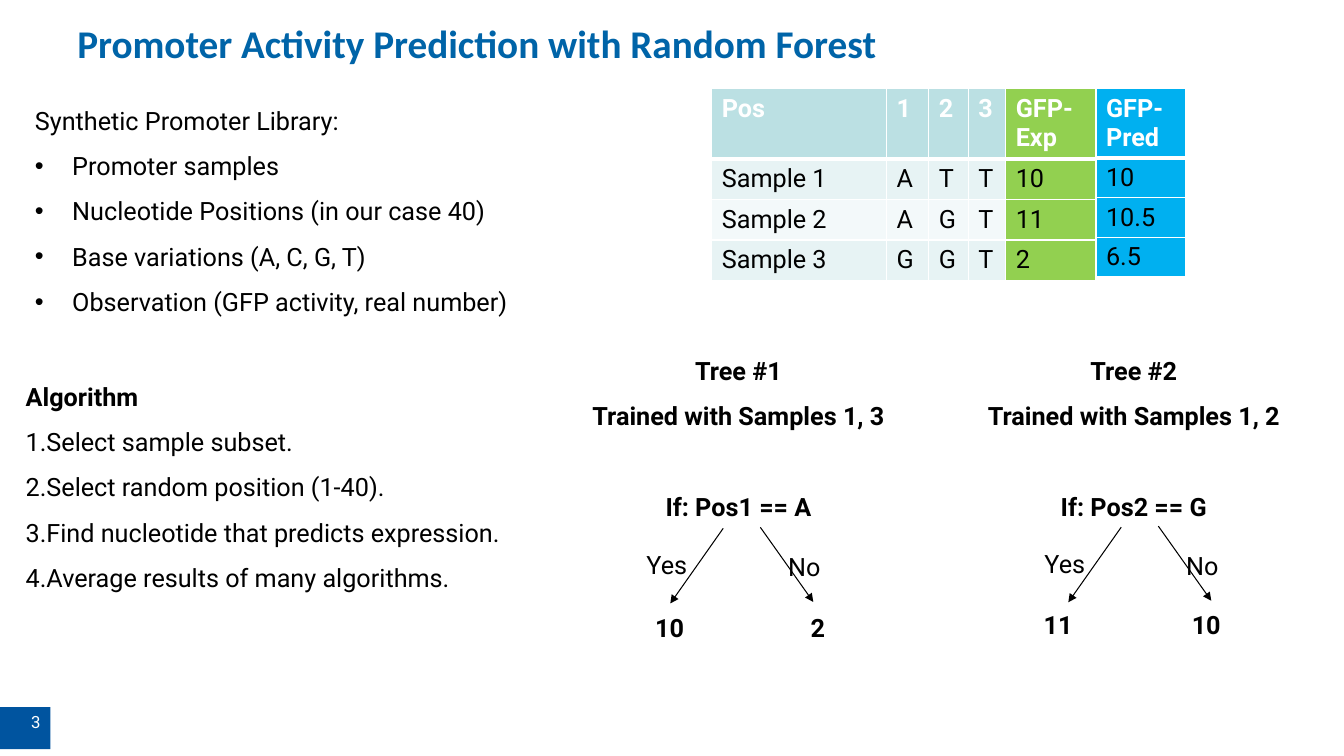
"""Builds the slide on promoter activity prediction with a random forest."""
from lxml.etree import SubElement as add_element
from pptx import Presentation
from pptx.dml.color import RGBColor
from pptx.enum.shapes import MSO_CONNECTOR as Connector, MSO_SHAPE as Shape
from pptx.enum.text import MSO_ANCHOR as Anchor, MSO_AUTO_SIZE as AutoSize, PP_ALIGN as Align
from pptx.oxml.ns import qn
from pptx.util import Inches, Pt

COLORS = {
    "title": "0064A8", "badge": "00549F", "text": "000000", "white": "FFFFFF",
    "header": "BBE0E3", "band": "E7F3F4", "pale": "F3F9FA",
    "measured": "92D050", "predicted": "00B0F0",
}
COLUMNS, ROWS = 80, 45
LINE_SPACING = 1.5
BLANK_LINE = 32.4
TABLE_TOP, TABLE_HEIGHT = 5.28, 11.4
TABLE_ROWS = [1.5] + [2.19] * 3


def color(name):
    return RGBColor.from_string(COLORS[name])


def write(para, text, size=18, font="Roboto", ink="text", bold=False,
          align=Align.LEFT, spacing=LINE_SPACING, before=0):
    span = para.add_run()
    span.text = text
    span.font.size, span.font.name, span.font.bold = Pt(size), font, bold
    span.font.color.rgb = color(ink)
    para.alignment, para.line_spacing = align, spacing
    para.space_before, para.space_after = Pt(before), Pt(0)


def set_bullet(para, kind=None, indent=0, **attributes):
    props = para._p.get_or_add_pPr()
    props.set("marL", str(Inches(indent)))
    props.set("indent", str(Inches(-indent)))
    add_element(props, qn(f"a:{kind or 'buNone'}"), attributes)


class Sketch:
    """Places styled elements on one slide, measured in grid columns and rows."""

    def __init__(self, deck, layout):
        self.page = deck.slides.add_slide(deck.slide_layouts[layout])
        self.column = deck.slide_width / COLUMNS
        self.row = deck.slide_height / ROWS

    def area(self, left, top, width, height):
        return (round(left * self.column), round(top * self.row),
                round(width * self.column), round(height * self.row))

    def placeholder(self, index, *place):
        box = self.page.placeholders[index]
        box.left, box.top, box.width, box.height = self.area(*place)
        frame = box.text_frame
        frame.auto_size, frame.vertical_anchor = AutoSize.NONE, Anchor.TOP
        return frame

    def title(self, text, *place):
        frame = self.placeholder(0, *place)
        write(frame.paragraphs[0], text, size=28, font="Calibri", ink="title",
              bold=True, spacing=1)

    def listing(self, index, place, heading, items, bold=False, **bullet):
        frame = self.placeholder(index, *place)
        write(frame.paragraphs[0], heading, bold=bold)
        set_bullet(frame.paragraphs[0])
        for item in items:
            para = frame.add_paragraph()
            write(para, item)
            set_bullet(para, **bullet)

    def label(self, place, *lines, **style):
        frame = self.page.shapes.add_textbox(*self.area(*place)).text_frame
        frame.word_wrap = True
        for number, (text, before) in enumerate(lines):
            para = frame.add_paragraph() if number else frame.paragraphs[0]
            write(para, text, before=before, **style)

    def badge(self, place, text):
        box = self.page.shapes.add_shape(Shape.RECTANGLE, *self.area(*place))
        box.shadow.inherit = False
        box.fill.solid()
        box.fill.fore_color.rgb = color("badge")
        box.line.fill.background()
        box.text_frame.vertical_anchor = Anchor.TOP
        write(box.text_frame.paragraphs[0], text, size=12, ink="white",
              align=Align.RIGHT, spacing=1)

    def arrow(self, left, top, across, down):
        start_x, start_y, width, height = self.area(left, top, across, down)
        line = self.page.shapes.add_connector(
            Connector.STRAIGHT, start_x, start_y, start_x + width, start_y + height)
        line.line.color.rgb = color("text")
        line.line.width = Pt(0.75)
        add_element(line.line._get_or_add_ln(), qn("a:tailEnd"), type="triangle")
        add_element(line._element.spPr, qn("a:effectLst"))

    def table(self, left, widths, accent, values):
        place = self.area(left, TABLE_TOP, sum(widths), TABLE_HEIGHT)
        holder = self.page.shapes.add_table(len(TABLE_ROWS), len(widths), *place)
        table = holder.table
        for column, width in zip(table.columns, widths):
            column.width = round(width * self.column)
        for row, height in zip(table.rows, TABLE_ROWS):
            row.height = round(height * self.row)
        holder.height = place[3]
        for r, texts in enumerate(values):
            base = "header" if r == 0 else "band" if r % 2 else "pale"
            fills = [base] * (len(widths) - 1) + [accent]
            for c, (text, fill) in enumerate(zip(texts, fills)):
                self.cell(table.cell(r, c), text, fill, r)

    def cell(self, cell, text, fill, row):
        write(cell.text_frame.paragraphs[0], text, spacing=1, bold=row == 0,
              ink="text" if row else "white")
        props = cell._tc.get_or_add_tcPr()
        thick = {0: "lnB", 1: "lnT"}.get(row)
        for side in ("lnL", "lnR", "lnT", "lnB"):
            edge = add_element(props, qn(f"a:{side}"), w=str(Pt(3 if side == thick else 1)))
            add_element(add_element(edge, qn("a:solidFill")), qn("a:srgbClr"),
                        val=COLORS["white"])
        cell.fill.solid()
        cell.fill.fore_color.rgb = color(fill)

    def tree(self, heading, samples, rule, results, caption, branch, leaf):
        self.label(caption, (heading, 0), (samples, 0), (rule, BLANK_LINE),
                   bold=True, align=Align.CENTER)
        for number, result in enumerate(results):
            self.label((leaf[0] + 8.82 * number, leaf[1], 3.96, 3.06), (result, 0),
                       bold=True, align=Align.CENTER)
        left, top = branch
        self.arrow(left + 5.16, top - 0.05, -3.15, 4.47)
        self.arrow(left + 7.37, top - 0.11, 3.15, 4.44)
        self.label((left, top, 5.46, 3.06), ("Yes", 0))
        self.label((left + 8.43, top + 0.11, 5.46, 3.06), ("No", 0))


def main():
    deck = Presentation()
    deck.slide_width, deck.slide_height = Inches(13.33), Inches(7.5)
    sketch = Sketch(deck, layout=3)
    sketch.badge((0, 42.1, 3, 2.5), "3")
    sketch.title("Promoter Activity Prediction with Random Forest", 4, 0.84, 72, 5.28)
    sketch.listing(1, (1.48, 5.05, 36.3, 14), "Synthetic Promoter Library:", [
        "Promoter samples",
        "Nucleotide Positions (in our case 40)",
        "Base variations (A, C, G, T)",
        "Observation (GFP activity, real number)",
    ], kind="buChar", indent=0.37, char="•")
    sketch.listing(2, (0.93, 21.48, 41.64, 14), "Algorithm", [
        "Select sample subset.",
        "Select random position (1-40).",
        "Find nucleotide that predicts expression.",
        "Average results of many algorithms.",
    ], bold=True, kind="buAutoNum", type="arabicPeriod")
    sketch.table(65.24, [5.36], "predicted", [["GFP-Pred"], ["10"], ["10.5"], ["6.5"]])
    sketch.tree("Tree #1", "Trained with Samples 1, 3", "If: Pos1 == A", ["10", "2"],
                caption=(31.66, 19.96, 24.6, 11.22), branch=(37.89, 31.5),
                leaf=(37.88, 35.25))
    sketch.tree("Tree #2", "Trained with Samples 1, 2", "If: Pos2 == G", ["11", "10"],
                caption=(56.3, 19.96, 22.38, 11.22), branch=(61.58, 31.43),
                leaf=(61, 35.1))
    sketch.table(42.37, [10.4, 2.52, 2.35, 2.23, 5.36], "measured", [
        ["Pos", "1", "2", "3", "GFP-Exp"],
        ["Sample 1", "A", "T", "T", "10"],
        ["Sample 2", "A", "G", "T", "11"],
        ["Sample 3", "G", "G", "T", "2"],
    ])
    deck.save("out.pptx")


if __name__ == "__main__":
    main()
